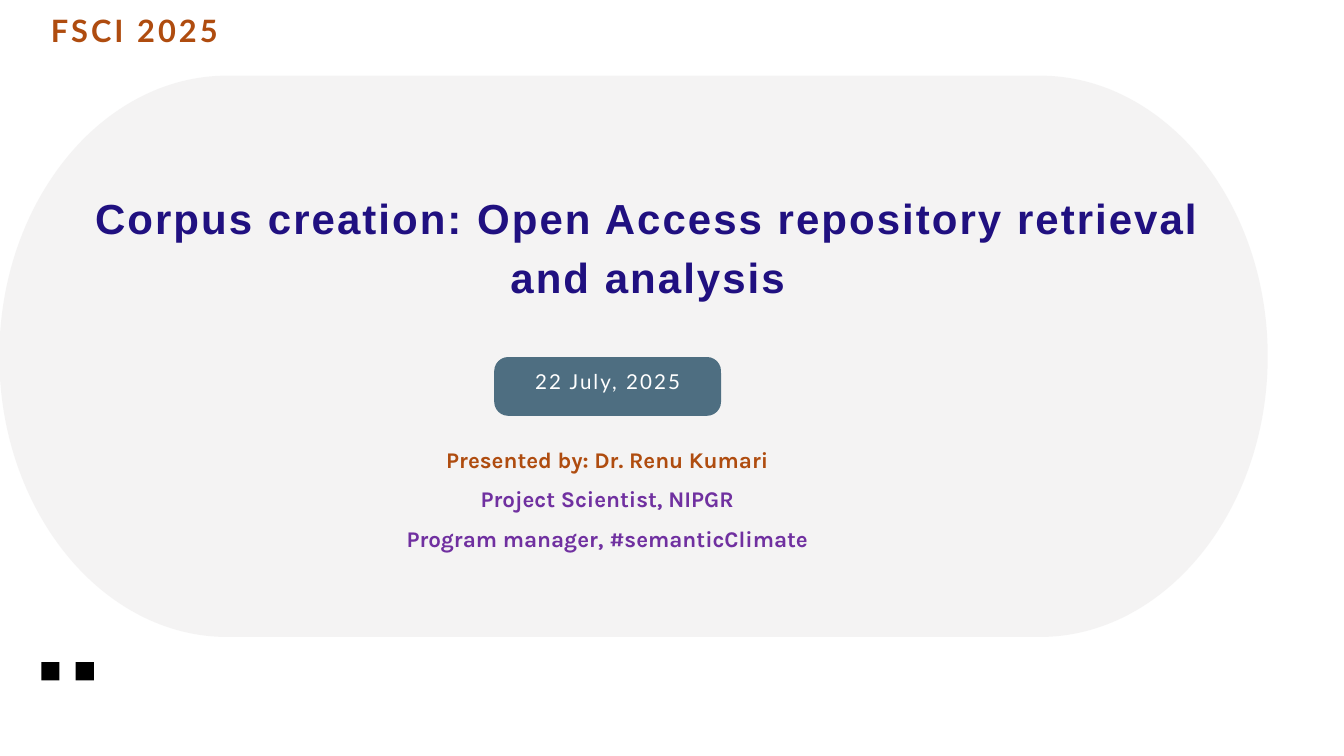
from lxml.etree import SubElement
from pptx import Presentation
from pptx.dml.color import RGBColor
from pptx.enum.shapes import MSO_SHAPE
from pptx.enum.text import MSO_ANCHOR, MSO_AUTO_SIZE, PP_ALIGN
from pptx.oxml.ns import qn
from pptx.oxml.xmlchemy import OxmlElement
from pptx.util import Pt

PX = 9525  # EMU in one px, 96 px to the inch
COLORS = {
    "panel": "F2F1F1",
    "marker": "000000",
    "badge": "4E6E81",
    "date": "FFFFFF",
    "title": "201080",
    "accent": "AF4C0F",
    "role": "7030A0",
}

# Boxes are left, top, width, height in px
PANEL_BOX, PANEL_END = (-1, 108, 1812, 802), 326
ARC = 0.55  # Bezier handle length of a quarter ellipse
MARKER_LEFT, MARKER_TOP, MARKER_SIZE, MARKER_PITCH = 59, 946, 26, 49
BADGE_BOX, BADGE_RADIUS = (706, 510, 324, 84), 20

TITLE = {
    "box": (121, 263, 1609, 163), "font": "Arial", "size": 45, "bold": True,
    "leading": 63, "tracking": 2.2,
    "lines": [("Corpus creation: Open Access repository retrieval and analysis", "title")],
}
EVENT = {
    "box": (60, 8, 264, 58), "font": "Lato", "size": 33, "bold": True,
    "leading": 46.2, "tracking": 3.3,
    "lines": [("FSCI 2025", "accent")],
}
DATE = {
    "box": (706, 490, 324, 104), "font": "Lato", "size": 22, "bold": False,
    "leading": 30.8, "tracking": 2.2, "anchor": MSO_ANCHOR.MIDDLE,
    "lines": [("22 July, 2025", "date")],
}
PRESENTER = {
    "box": (573, 620, 589, 164), "font": "Karla", "size": 24, "bold": True,
    "leading": 42, "tracking": 0,
    "lines": [
        ("Presented by: Dr. Renu Kumari", "accent"),
        ("Project Scientist, NIPGR", "role"),
        ("Program manager, #semanticClimate", "role"),
    ],
}


def emu(box):
    return [length * PX for length in box]


def paint(shape, color):
    shape.shadow.inherit = False
    shape.fill.solid()
    shape.fill.fore_color.rgb = RGBColor.from_string(COLORS[color])
    shape.line.fill.background()


def bend(segments):
    """Turn three line segments into one Bezier curve through their points."""
    curve = OxmlElement("a:cubicBezTo")
    segments[0].addprevious(curve)
    for segment in segments:
        curve.append(segment[0])
        segment.getparent().remove(segment)


def add_panel(slide):
    """Translucent panel whose left and right ends are half ellipses."""
    left, top, width, height = emu(PANEL_BOX)
    end, half = PANEL_END * PX, height // 2
    # Start, handle, handle, tip, handle, handle, finish, in units of the ellipse
    half_ellipse = [(0, -1), (ARC, -1), (1, -ARC), (1, 0), (1, ARC), (ARC, 1), (0, 1)]
    outline = [
        (round(center + side * x * end), round(top + half + side * y * half))
        for center, side in ((left + width - end, 1), (left + end, -1))
        for x, y in half_ellipse
    ]
    builder = slide.shapes.build_freeform(*outline[0])
    builder.add_line_segments(outline[1:], close=True)
    panel = builder.convert_to_shape()
    segments = list(panel._element.iter(qn("a:lnTo")))
    for first in (0, 3, 7, 10):  # segment 6 is the straight bottom edge
        bend(segments[first:first + 3])
    paint(panel, "panel")
    rgb = next(panel._element.spPr.iter(qn("a:srgbClr")))
    SubElement(rgb, qn("a:alpha")).set("val", "80000")
    slide.shapes._spTree.insert(2, panel._element)  # behind the title


def write(shape, block):
    shape.left, shape.top, shape.width, shape.height = emu(block["box"])
    frame = shape.text_frame
    frame.word_wrap = True
    frame.auto_size = MSO_AUTO_SIZE.NONE
    frame.vertical_anchor = block.get("anchor", MSO_ANCHOR.TOP)
    frame.margin_left = frame.margin_right = frame.margin_top = frame.margin_bottom = 0
    for index, (line, color) in enumerate(block["lines"]):
        paragraph = frame.add_paragraph() if index else frame.paragraphs[0]
        paragraph.alignment = PP_ALIGN.CENTER
        paragraph.line_spacing = Pt(block["leading"])
        paragraph.space_before = Pt(0)
        run = paragraph.add_run()
        run.text = line
        run.font.name = block["font"]
        run.font.size = Pt(block["size"])
        run.font.bold = block["bold"]
        run.font.color.rgb = RGBColor.from_string(COLORS[color])
        run.font._element.set("spc", str(round(block["tracking"] * 100)))


def main():
    deck = Presentation()
    deck.slide_width, deck.slide_height = 1920 * PX, 1080 * PX
    slide = deck.slides.add_slide(deck.slide_layouts[5])
    shapes = slide.shapes

    add_panel(slide)
    for column in range(2):
        marker_box = (MARKER_LEFT + column * MARKER_PITCH, MARKER_TOP, MARKER_SIZE, MARKER_SIZE)
        paint(shapes.add_shape(MSO_SHAPE.RECTANGLE, *emu(marker_box)), "marker")
    badge = shapes.add_shape(MSO_SHAPE.ROUNDED_RECTANGLE, *emu(BADGE_BOX))
    badge.adjustments[0] = BADGE_RADIUS / BADGE_BOX[3]
    paint(badge, "badge")

    write(shapes.title, TITLE)
    for block in (DATE, EVENT, PRESENTER):
        write(shapes.add_textbox(*emu(block["box"])), block)

    deck.save("out.pptx")


if __name__ == "__main__":
    main()
